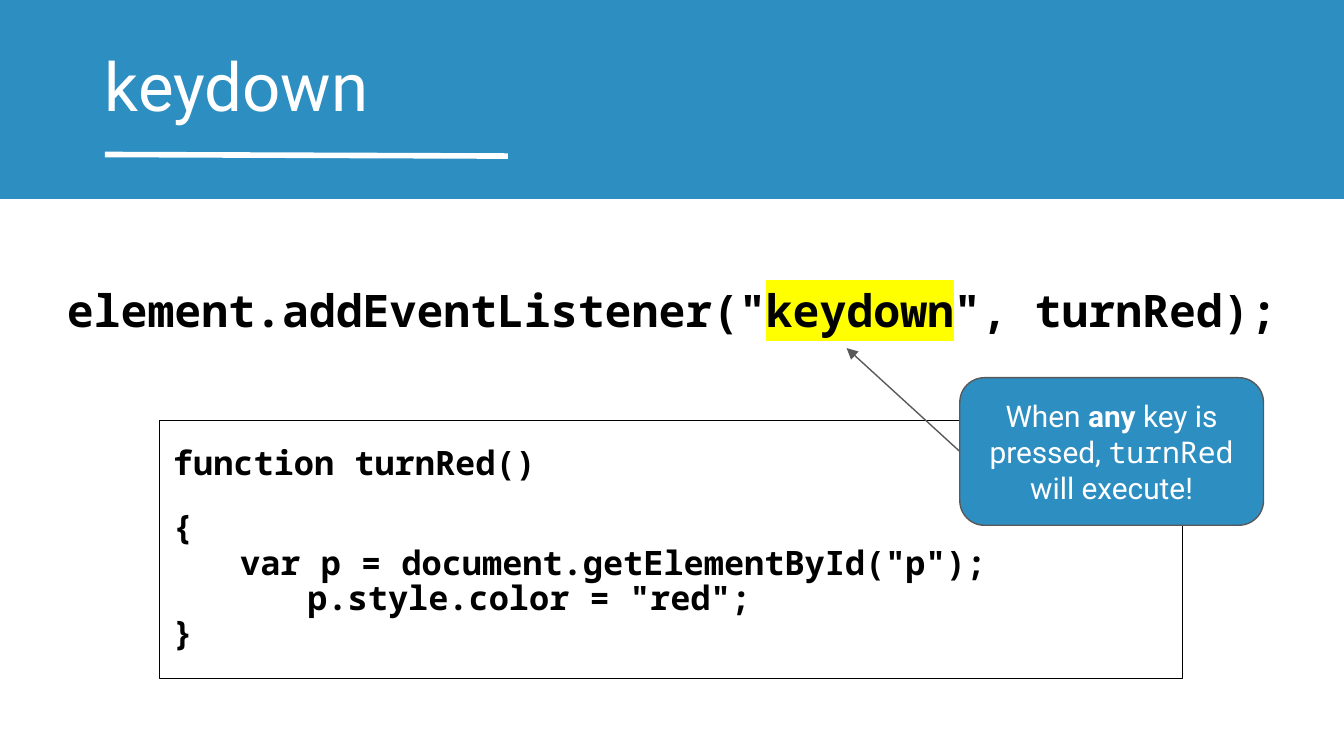
import lxml.etree
import pptx
import pptx.dml.color
import pptx.enum.shapes
import pptx.enum.text
import pptx.oxml.ns
import pptx.util

Cm, Pt = pptx.util.Cm, pptx.util.Pt
ALIGN = pptx.enum.text.PP_ALIGN
ANCHOR = pptx.enum.text.MSO_ANCHOR
SHAPE = pptx.enum.shapes.MSO_SHAPE
SANS, MONO = "Roboto", "Noto Sans Mono"
BLUE, WHITE, BLACK, GREY, YELLOW = "2D8EC2", "FFFFFF", "000000", "595959", "FFFF00"


def color(hex_string):
    return pptx.dml.color.RGBColor.from_string(hex_string)


def add_xml(parent, tag, **attributes):
    return lxml.etree.SubElement(parent, pptx.oxml.ns.qn(tag), attributes)


def place(shape, box):
    shape.left, shape.top, shape.width, shape.height = map(Cm, box)


def set_frame(shape, anchor):
    frame = shape.text_frame
    frame.word_wrap = True
    frame.auto_size = pptx.enum.text.MSO_AUTO_SIZE.NONE
    frame.vertical_anchor = anchor
    frame.margin_left = frame.margin_right = Cm(0.25)
    frame.margin_top = frame.margin_bottom = Cm(0.25)
    return frame


def set_paragraph(paragraph, font_name, size, hex_string, align=ALIGN.LEFT, bold=False):
    paragraph.alignment = align
    font = paragraph.font
    font.name, font.size, font.bold = font_name, Pt(size), bold
    font.color.rgb = color(hex_string)


def add_run(paragraph, text):
    run = paragraph.add_run()
    run.text = text
    return run


def add_box(slide, kind, box, fill=None, line=None):
    shape = slide.shapes.add_shape(kind, *map(Cm, box))
    shape.shadow.inherit = False
    if fill:
        shape.fill.solid()
        shape.fill.fore_color.rgb = color(fill)
    else:
        shape.fill.background()
    if line:
        shape.line.color.rgb = color(line)
        shape.line.width = Pt(0.75)
    else:
        shape.line.fill.background()
    return shape


def add_line(slide, start, end, hex_string, width, arrow=False):
    connector = slide.shapes.add_connector(
        pptx.enum.shapes.MSO_CONNECTOR.STRAIGHT, *map(Cm, start + end))
    connector.line.color.rgb = color(hex_string)
    connector.line.width = Pt(width)
    if arrow:
        add_xml(connector.line._get_or_add_ln(), "a:tailEnd", type="triangle")
    add_xml(connector.element.spPr, "a:effectLst")


def add_header(slide, box):
    left, top, width, height = box
    title = slide.shapes.title
    # The band lies behind the title
    band = add_box(slide, SHAPE.RECTANGLE, box, fill=BLUE)
    title.element.addprevious(band.element)
    place(title, (left + 1.73, top + 0.58, width - 1.73, 1.19))
    paragraph = set_frame(title, ANCHOR.TOP).paragraphs[0]
    set_paragraph(paragraph, SANS, 36, WHITE)
    add_run(paragraph, "keydown")
    # Underline, slightly slanted
    add_line(slide, (left + 1.98, top + 2.92), (left + 9.6, top + 2.95), WHITE, 3)


def add_statement(slide, box):
    body = slide.placeholders[1]
    place(body, box)
    paragraph = set_frame(body, ANCHOR.TOP).paragraphs[0]
    set_paragraph(paragraph, MONO, 24, BLACK, ALIGN.CENTER, bold=True)
    paragraph.line_spacing = 1.15
    paragraph.space_before = Pt(0)
    # No bullet and no hanging indent
    properties = paragraph._p.get_or_add_pPr()
    properties.set("marL", "0")
    properties.set("indent", "0")
    bullet = lxml.etree.Element(pptx.oxml.ns.qn("a:buNone"))
    properties.find(pptx.oxml.ns.qn("a:defRPr")).addprevious(bullet)
    add_run(paragraph, 'element.addEventListener("')
    event = add_run(paragraph, "keydown")
    highlight = add_xml(event.font._element, "a:highlight")
    add_xml(highlight, "a:srgbClr", val=YELLOW)
    add_run(paragraph, '", turnRed);')


def add_code(slide, box):
    shape = add_box(slide, SHAPE.RECTANGLE, box, line=BLACK)
    frame = set_frame(shape, ANCHOR.MIDDLE)
    # Text, indent in cm, space before in points
    lines = [
        ("function turnRed()", 0, 0),
        ("{", 0, 16),
        ('var p = document.getElementById("p");', 1.27, 0),
        ('p.style.color = "red";', 2.54, 0),
        ("}", 0, 0),
    ]
    for index, (text, indent, space_before) in enumerate(lines):
        paragraph = frame.add_paragraph() if index else frame.paragraphs[0]
        set_paragraph(paragraph, MONO, 18, BLACK, bold=True)
        paragraph.line_spacing = 0.87
        paragraph.space_before = Pt(space_before)
        paragraph._p.get_or_add_pPr().set("indent", str(Cm(indent)))
        add_run(paragraph, text)


def add_callout(slide, box, target):
    left, top, width, height = box
    shape = add_box(slide, SHAPE.ROUNDED_RECTANGLE, box, fill=BLUE, line=GREY)
    paragraph = set_frame(shape, ANCHOR.MIDDLE).paragraphs[0]
    set_paragraph(paragraph, SANS, 16, WHITE, ALIGN.CENTER)
    add_run(paragraph, "When ")
    add_run(paragraph, "any").font.bold = True
    add_run(paragraph, " key is pressed, ")
    add_run(paragraph, "turnRed").font.name = MONO
    add_run(paragraph, " will execute!")
    # Arrow from the middle of the left edge
    add_line(slide, (left, top + height / 2), target, GREY, 0.75, arrow=True)


def main():
    presentation = pptx.Presentation()
    presentation.slide_width, presentation.slide_height = Cm(25.4), Cm(14.29)
    slide = presentation.slides.add_slide(presentation.slide_layouts[1])
    add_header(slide, (0, 0, 25.4, 3.76))
    add_statement(slide, (0.86, 4.95, 23.67, 2.18))
    add_code(slide, (3.02, 7.95, 19.33, 4.88))
    add_callout(slide, (18.14, 7.14, 5.74, 2.79), target=(16, 6.58))
    presentation.save("out.pptx")


if __name__ == "__main__":
    main()
